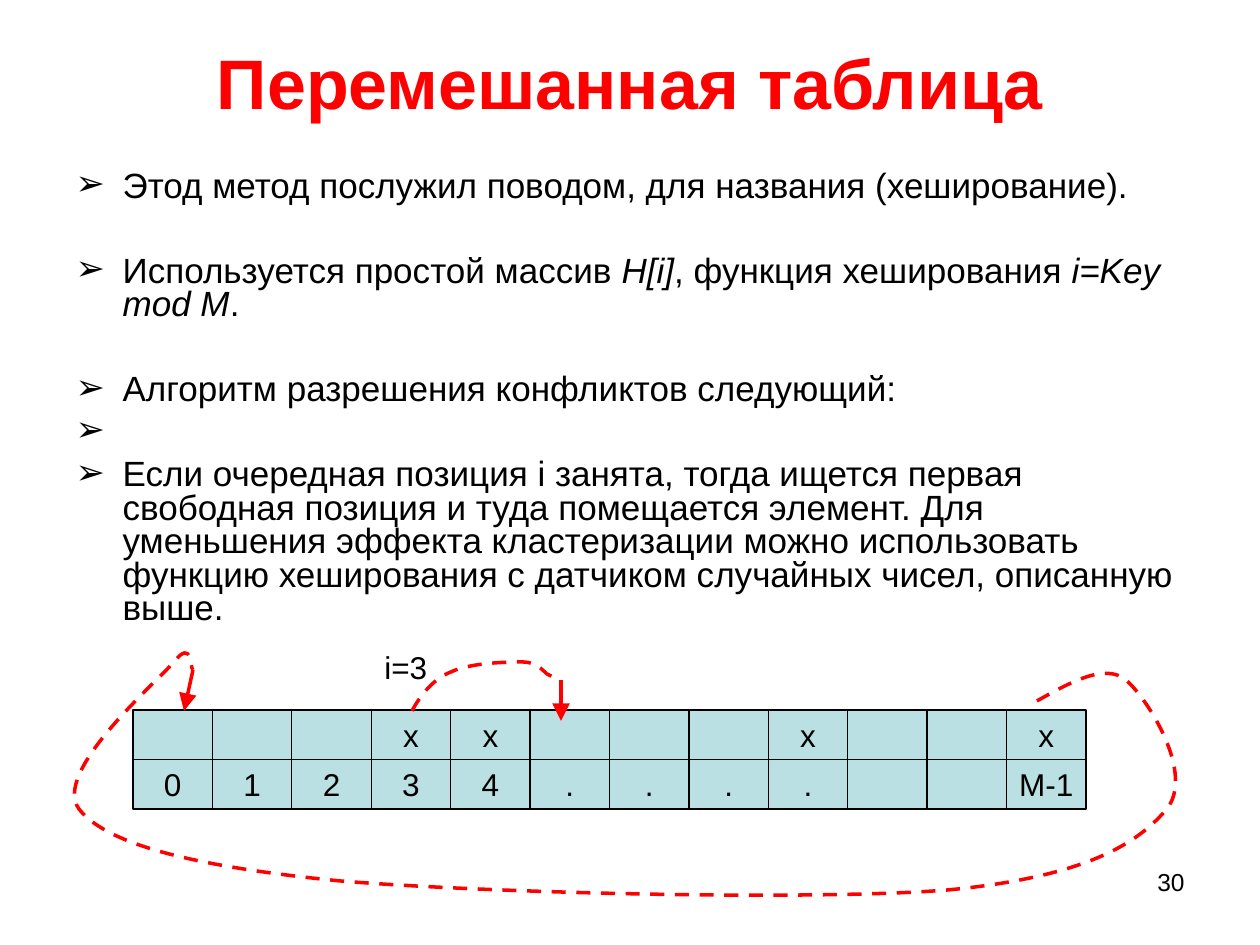
from dataclasses import dataclass

from lxml import etree
from pptx import Presentation
from pptx.dml.color import RGBColor
from pptx.enum.dml import MSO_LINE
from pptx.enum.shapes import MSO_CONNECTOR, MSO_SHAPE
from pptx.enum.text import MSO_ANCHOR, MSO_AUTO_SIZE, PP_ALIGN
from pptx.oxml.ns import qn
from pptx.util import Pt

DASH = MSO_LINE.DASH
STRAIGHT = MSO_CONNECTOR.STRAIGHT
RECT = MSO_SHAPE.RECTANGLE
MIDDLE, TOP = MSO_ANCHOR.MIDDLE, MSO_ANCHOR.TOP
NO_FIT = MSO_AUTO_SIZE.NONE
LEFT, CENTER, RIGHT = PP_ALIGN.LEFT, PP_ALIGN.CENTER, PP_ALIGN.RIGHT

EMU_PER_PX = 914400 / 126


@dataclass(frozen=True)
class Theme:
    font: str = "Arial"
    text: RGBColor = RGBColor(0, 0, 0)
    accent: RGBColor = RGBColor(255, 0, 0)
    cell: RGBColor = RGBColor(0xBB, 0xE0, 0xE3)
    title_size: int = 40
    body_size: int = 20
    label_size: int = 18
    number_size: int = 14
    cell_line: float = 0.75
    probe_line: int = 2


THEME = Theme()

# Each bullet: space before in points, then (text, italic) runs
BULLETS = [
    (0, [("Этод метод послужил поводом, для названия (хеширование).", False)]),
    (29.3, [("Используется простой массив ", False), ("H[i]", True),
            (", функция хеширования ", False), ("i=Key mod M", True), (".", False)]),
    (29.3, [("Алгоритм разрешения конфликтов следующий:", False)]),
    (5, [("\t", False)]),
    (5, [("Если очередная позиция i занята, тогда ищется первая свободная "
          "позиция и туда помещается элемент. Для уменьшения эффекта "
          "кластеризации можно использовать функцию хеширования с датчиком "
          "случайных чисел, описанную выше.", False)]),
]

CELL_ROWS = [
    ["", "", "", "x", "x", "", "", "", "x", "", "", "x"],
    ["0", "1", "2", "3", "4", ".", ".", ".", ".", "", "", "M-1"],
]

# Curves: a start point, then two control points and an end point per segment
PROBE_CURVE = [
    (362, 74), (370, 59), (383, 42), (401, 35), (420, 26), (455, 25), (472, 25),
    (487, 25), (492, 33), (497, 37), (503, 40), (503, 40), (504, 40),
]
WRAP_CURVE = [
    (987, 64), (1021, 45), (1055, 26), (1076, 43), (1098, 62), (1146, 138),
    (1116, 173), (1087, 207), (1035, 240), (898, 253), (760, 264), (435, 256),
    (290, 244), (147, 230), (57, 208), (29, 172), (2, 135), (105, 47),
    (124, 25), (143, 1), (140, 32), (143, 33),
]
PROBE_ARROW = [(511, 43), (511, 84)]
WRAP_ARROW = [(143, 33), (134, 74)]


def px(*lengths):
    return [round(n * EMU_PER_PX) for n in lengths]


def add_run(p, text, size, color=THEME.text, bold=False, italic=False):
    r = p.add_run()
    r.text = text
    r.font.name = THEME.font
    r.font.size = Pt(size)
    r.font.color.rgb = color
    r.font.bold = bold
    r.font.italic = italic


def add_text(s, box, text, size, align=LEFT):
    tf = s.shapes.add_textbox(*px(*box)).text_frame
    tf.word_wrap = True
    tf.paragraphs[0].alignment = align
    add_run(tf.paragraphs[0], text, size)


def place_placeholder(sp, box, anchor):
    sp.left, sp.top, sp.width, sp.height = px(*box)
    tf = sp.text_frame
    tf.auto_size = NO_FIT
    tf.word_wrap = True
    tf.vertical_anchor = anchor
    return tf


def add_title(s, box, text):
    p = place_placeholder(s.shapes.title, box, MIDDLE).paragraphs[0]
    p.alignment = CENTER
    add_run(p, text, THEME.title_size, THEME.accent, bold=True)


def set_bullet(p):
    pPr = p._p.get_or_add_pPr()
    indent = px(47)[0]
    pPr.set("marL", str(indent))
    pPr.set("indent", str(-indent))
    color = etree.SubElement(pPr, qn("a:buClr"))
    etree.SubElement(color, qn("a:srgbClr")).set("val", str(THEME.text))
    etree.SubElement(pPr, qn("a:buFont")).set("typeface", THEME.font)
    etree.SubElement(pPr, qn("a:buChar")).set("char", "➢")


def add_body(s, box):
    tf = place_placeholder(s.placeholders[1], box, TOP)
    for i, (before, runs) in enumerate(BULLETS):
        p = tf.add_paragraph() if i else tf.paragraphs[0]
        p.line_spacing = 0.8
        p.space_before = Pt(before)
        set_bullet(p)
        for text, italic in runs:
            add_run(p, text, THEME.body_size, italic=italic)


def add_cells(s, box):
    left, top, width, height = box
    w, h = width / len(CELL_ROWS[0]), height / len(CELL_ROWS)
    for row, texts in enumerate(CELL_ROWS):
        for col, text in enumerate(texts):
            cell = s.shapes.add_shape(RECT, *px(left + col * w, top + row * h, w, h))
            cell.shadow.inherit = False
            cell.fill.solid()
            cell.fill.fore_color.rgb = THEME.cell
            cell.line.color.rgb = THEME.text
            cell.line.width = Pt(THEME.cell_line)
            if text:
                tf = cell.text_frame
                tf.word_wrap = False
                tf.vertical_anchor = MIDDLE
                tf.paragraphs[0].alignment = CENTER
                add_run(tf.paragraphs[0], text, THEME.label_size)


def style_probe(line):
    line.color.rgb = THEME.accent
    line.width = Pt(THEME.probe_line)


def bend_segments(curve):
    """Join each three straight segments into one cubic Bezier segment."""
    lines = list(curve._element.iter(qn("a:lnTo")))
    for i in range(0, len(lines), 3):
        bezier = etree.Element(qn("a:cubicBezTo"))
        lines[i].addprevious(bezier)
        for line in lines[i:i + 3]:
            bezier.append(line[0])
            line.getparent().remove(line)


def add_curve(s, origin, points):
    points = [px(origin[0] + x, origin[1] + y) for x, y in points]
    builder = s.shapes.build_freeform(*points[0])
    builder.add_line_segments(points[1:], close=False)
    curve = builder.convert_to_shape()
    bend_segments(curve)
    curve.shadow.inherit = False
    curve.fill.background()
    style_probe(curve.line)
    curve.line.dash_style = DASH


def add_arrow(s, origin, ends):
    coords = [origin[axis] + pt[axis] for pt in ends for axis in (0, 1)]
    arrow = s.shapes.add_connector(STRAIGHT, *px(*coords))
    style_probe(arrow.line)
    head = etree.SubElement(arrow.line._get_or_add_ln(), qn("a:tailEnd"))
    for name, value in (("type", "triangle"), ("w", "lg"), ("len", "lg")):
        head.set(name, value)
    etree.SubElement(arrow._element.spPr, qn("a:effectLst"))


def add_hash_diagram(s, origin):
    left, top = origin
    add_cells(s, (left + 83, top + 73, 953, 99))
    add_text(s, (left + 322, top + 5, 100, 50), "i=3", THEME.label_size)
    for curve, arrow in ((PROBE_CURVE, PROBE_ARROW), (WRAP_CURVE, WRAP_ARROW)):
        add_curve(s, origin, curve)
        add_arrow(s, origin, arrow)


def main():
    prs = Presentation()
    prs.slide_width, prs.slide_height = px(1260, 945)
    s = prs.slides.add_slide(prs.slide_layouts[1])
    add_title(s, (63, 38, 1134, 87), "Перемешанная таблица")
    add_body(s, (63, 165, 1134, 476))
    add_hash_diagram(s, (50, 637))
    # Slide number
    add_text(s, (903, 861, 294, 66), "30", THEME.number_size, RIGHT)
    prs.save("out.pptx")


if __name__ == "__main__":
    main()
